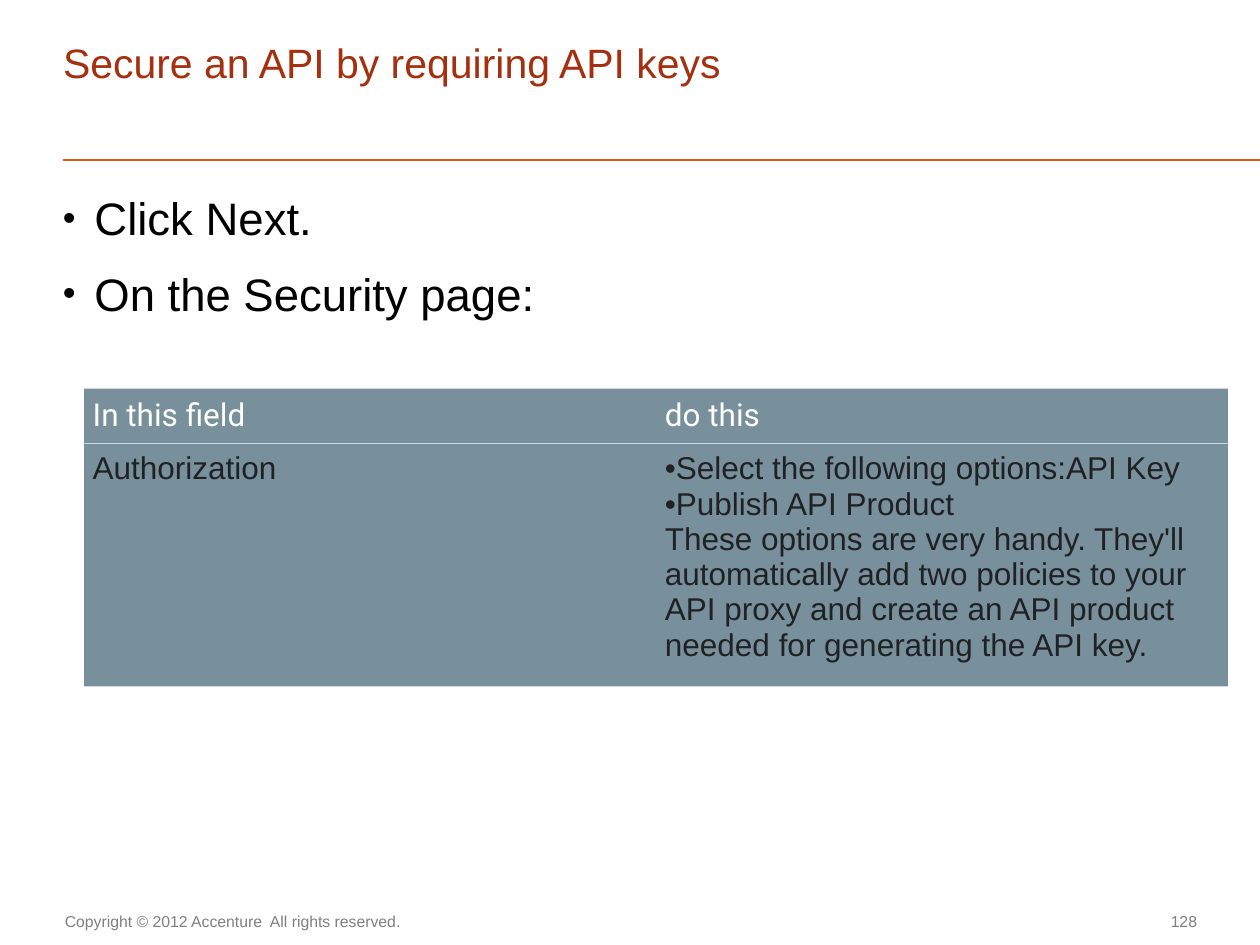
import pptx
import pptx.dml.color
import pptx.enum.shapes
import pptx.enum.text
import pptx.oxml
import pptx.oxml.ns
import pptx.util

Pt = pptx.util.Pt
RGBColor = pptx.dml.color.RGBColor
ALIGN = pptx.enum.text.PP_ALIGN
ANCHOR = pptx.enum.text.MSO_ANCHOR

RUST = RGBColor(0xA5, 0x30, 0x0F)
ORANGE = RGBColor(0xD5, 0x58, 0x16)
GREY = RGBColor(0x7F, 0x7F, 0x7F)
SLATE = RGBColor(0x78, 0x90, 0x9C)
PALE = RGBColor(0xCF, 0xD8, 0xDC)
INK = RGBColor(0x20, 0x21, 0x24)
BLACK = RGBColor(0, 0, 0)
WHITE = RGBColor(0xFF, 0xFF, 0xFF)

NO_TABLE_STYLE = "{2D5ABB26-0587-4C30-8999-92F81FD0307C}"
BULLET = "•"


def element(xml):
    """Parse a DrawingML element written with the a: prefix."""
    head, mark, tail = xml.partition("/>") if xml.endswith("/>") and xml.count("<") == 1 else xml.partition(">")
    return pptx.oxml.parse_xml(f"{head} {pptx.oxml.ns.nsdecls('a')}{mark}{tail}")


def set_margins(holder, left=0, top=0, right=0, bottom=0):
    holder.margin_left, holder.margin_top = Pt(left), Pt(top)
    holder.margin_right, holder.margin_bottom = Pt(right), Pt(bottom)


class SlideWriter:
    """Holds the font and the slide being filled."""

    def __init__(self, slide, font="Arial"):
        self.slide = slide
        self.font = font

    def format_runs(self, paragraph, size, color, font=None):
        for run in paragraph.runs:
            run.font.name = font or self.font
            run.font.size = Pt(size)
            run.font.bold = False
            run.font.color.rgb = color

    def add_bullet(self, paragraph, indent=0, scale=100):
        properties = paragraph._p.get_or_add_pPr()
        properties.set("marL", str(Pt(indent)))
        properties.set("indent", str(-Pt(indent)))
        properties.append(element(f'<a:buSzPct val="{scale * 1000}"/>'))
        properties.append(element('<a:buFont typeface="Arial"/>'))
        properties.append(element(f'<a:buChar char="{BULLET}"/>'))

    def title(self, text, left, top, width, height, size, bottom_margin):
        title = self.slide.shapes.title
        title.left, title.top = Pt(left), Pt(top)
        title.width, title.height = Pt(width), Pt(height)
        frame = title.text_frame
        set_margins(frame, bottom=bottom_margin)
        frame.word_wrap = True
        frame.vertical_anchor = ANCHOR.BOTTOM
        frame.text = text
        heading = frame.paragraphs[0]
        heading.alignment = ALIGN.LEFT
        heading.line_spacing = Pt(26)
        self.format_runs(heading, size, RUST)

    def text(self, lines, left, top, width, height, size, color,
             align=ALIGN.LEFT, anchor=ANCHOR.TOP, margins=(0, 0, 0, 0), bulleted=False):
        box = self.slide.shapes.add_textbox(Pt(left), Pt(top), Pt(width), Pt(height))
        frame = box.text_frame
        frame.word_wrap = True
        frame.vertical_anchor = anchor
        set_margins(frame, *margins)
        frame.text = "\n".join(lines)
        for index, paragraph in enumerate(frame.paragraphs):
            paragraph.alignment = align
            if index:
                paragraph.space_before = Pt(12)
            if bulleted:
                self.add_bullet(paragraph, indent=18, scale=80)
            self.format_runs(paragraph, size, color)

    def rule(self, left, right, y):
        rule = self.slide.shapes.add_connector(
            pptx.enum.shapes.MSO_CONNECTOR.STRAIGHT, Pt(left), Pt(y), Pt(right), Pt(y))
        rule.line.color.rgb = ORANGE
        rule.line.width = Pt(1)
        rule._element.spPr.append(element("<a:effectLst/>"))

    def cell(self, cell, text, color, font, anchor, top_margin):
        """Fill one table cell; lines that start with a bullet become bulleted."""
        cell.vertical_anchor = anchor
        set_margins(cell, 5, top_margin, 5, 5)
        lines = text.split("\n")
        cell.text_frame.text = "\n".join(line.removeprefix(BULLET) for line in lines)
        for line, paragraph in zip(lines, cell.text_frame.paragraphs):
            if line.startswith(BULLET):
                self.add_bullet(paragraph)
            self.format_runs(paragraph, 18, color, font)
        properties = cell._tc.get_or_add_tcPr()
        for side in ("lnT", "lnB"):
            properties.append(element(
                f'<a:{side} w="{Pt(0.6)}"><a:solidFill><a:srgbClr val="{PALE}"/>'
                f'</a:solidFill></a:{side}>'))
        cell.fill.solid()
        cell.fill.fore_color.rgb = SLATE

    def table(self, rows, left, top, column_width, row_heights):
        columns = len(rows[0])
        frame = self.slide.shapes.add_table(
            len(rows), columns, Pt(left), Pt(top),
            Pt(column_width * columns), Pt(sum(row_heights)))
        table = frame.table
        table.horz_banding = False
        table._tbl.tblPr.find(pptx.oxml.ns.qn("a:tableStyleId")).text = NO_TABLE_STYLE
        for column in table.columns:
            column.width = Pt(column_width)
        for r, (texts, height) in enumerate(zip(rows, row_heights)):
            table.rows[r].height = Pt(height)
            look = (INK, self.font, ANCHOR.TOP, 4.3) if r else (WHITE, "Roboto", ANCHOR.MIDDLE, 5)
            for c, text in enumerate(texts):
                self.cell(table.cell(r, c), text, *look)


def main():
    deck = pptx.Presentation()
    deck.slide_width, deck.slide_height = Pt(720), Pt(540)
    writer = SlideWriter(deck.slides.add_slide(deck.slide_layouts[5]))

    writer.rule(36, 720, 91.4)
    writer.text(["Copyright © 2012 Accenture  All rights reserved."], 35.3, 517.7, 202.3, 18,
                9, GREY, align=ALIGN.CENTER, margins=(0, 3.6, 7.2, 3.6))
    writer.text(["128"], 641.5, 517, 42.5, 19.4, 9, GREY,
                align=ALIGN.RIGHT, anchor=ANCHOR.MIDDLE)
    writer.title("Secure an API by requiring API keys", 36, 13.7, 645.8, 61.9,
                 size=23.4, bottom_margin=26)
    writer.text(["Click Next.", "On the Security page:"], 36, 108.7, 648, 83.5,
                26, BLACK, bulleted=True)
    writer.table(
        [
            ["In this field", "do this"],
            ["Authorization",
             "•Select the following options:API Key\n"
             "•Publish API Product\n"
             "These options are very handy. They'll automatically add two policies "
             "to your API proxy and create an API product needed for generating the API key."],
        ],
        left=48, top=222, column_width=327, row_heights=[30.4, 130])
    deck.save("out.pptx")


if __name__ == "__main__":
    main()
